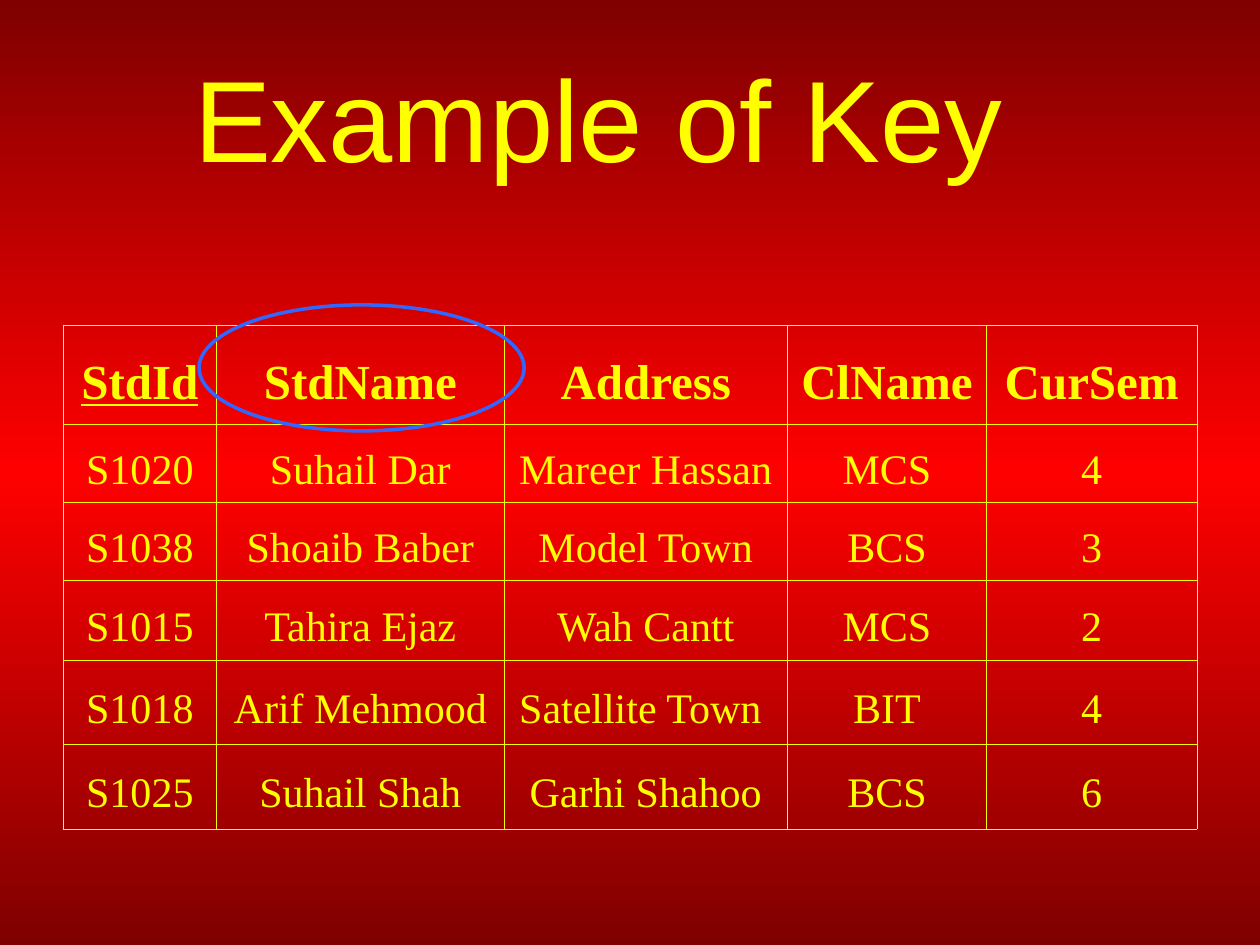
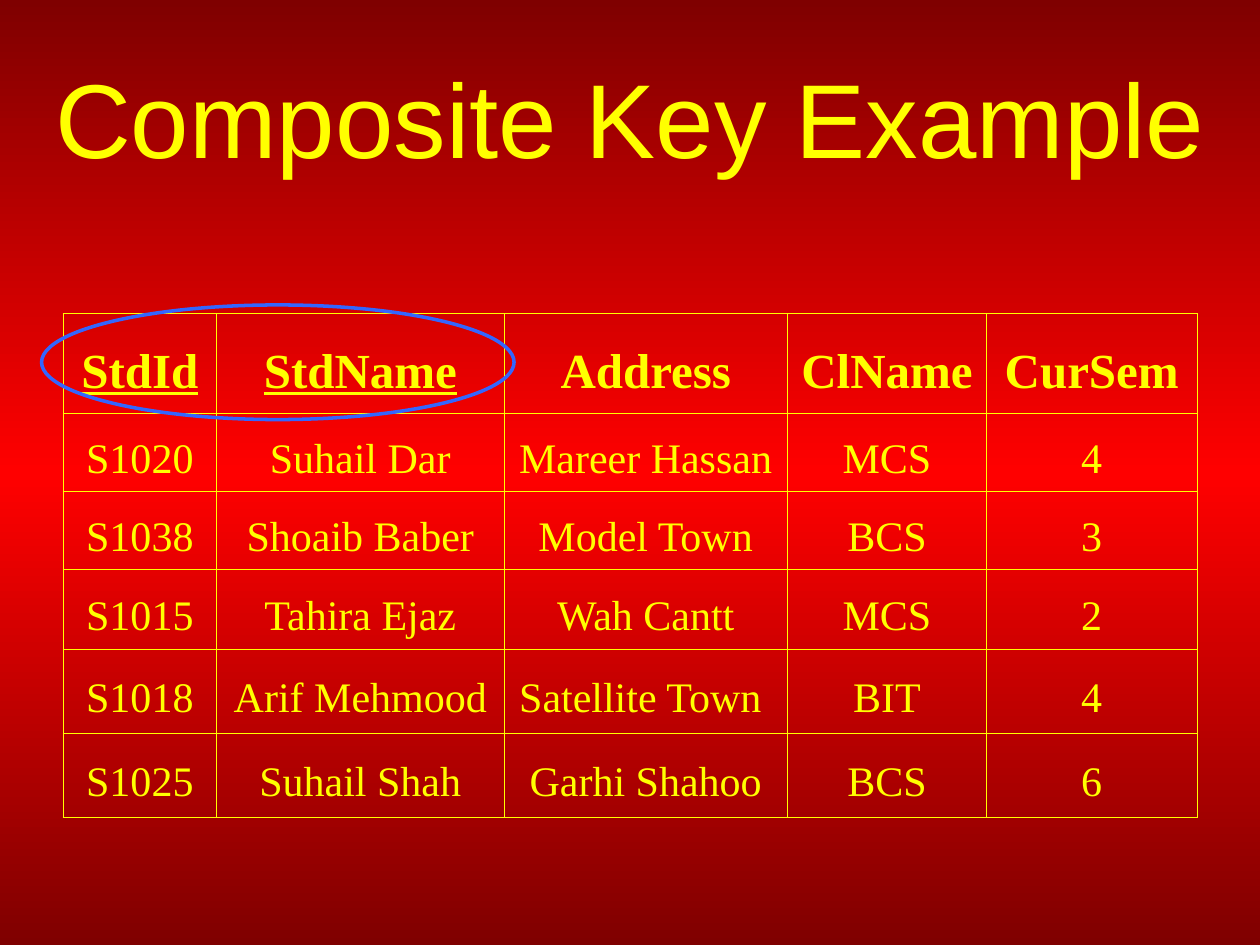
from copy import deepcopy

from lxml import etree
from pptx import Presentation
from pptx.dml.color import RGBColor
from pptx.enum.shapes import MSO_SHAPE
from pptx.enum.text import MSO_ANCHOR, PP_ALIGN
from pptx.oxml.ns import qn
from pptx.util import Pt

OVAL = MSO_SHAPE.OVAL
CENTER = PP_ALIGN.CENTER
MIDDLE = MSO_ANCHOR.MIDDLE

COLORS = {"text": "FFFF00", "edge": "7F0000", "glow": "FF0000", "marker": "3366FF"}
TITLE_FONT = "Arial"
TABLE_FONT = "Times New Roman"
COLUMN_WIDTHS = [87.84, 164.16, 162, 113.76, 120.24]
ROW_HEIGHTS = [56.88, 44.64, 44.64, 45.36, 48.24, 48.24]
BORDER_WIDTH = 0.45

STUDENTS = [
    ["StdId", "StdName", "Address", "ClName", "CurSem"],
    ["S1020", "Suhail Dar", "Mareer Hassan", "MCS", "4"],
    ["S1038", "Shoaib Baber", "Model Town", "BCS", "3"],
    ["S1015", "Tahira Ejaz", "Wah Cantt", "MCS", "2"],
    ["S1018", "Arif Mehmood", "Satellite Town ", "BIT", "4"],
    ["S1025", "Suhail Shah", "Garhi Shahoo", "BCS", "6"],
]


def color(name):
    return RGBColor.from_string(COLORS[name])


def paint_background(slide):
    fill = slide.background.fill
    fill.gradient()
    fill.gradient_angle = 270
    stop_list = slide.element.find(".//" + qn("a:gsLst"))
    stop_list.insert(1, deepcopy(stop_list[0]))
    for stop, name, position in zip(fill.gradient_stops, ("edge", "glow", "edge"), (0, 0.5, 1)):
        stop.color.rgb = color(name)
        stop.position = position


def write(frame, text, font_name, size, bold=False, underline=False):
    frame.text = text
    paragraph = frame.paragraphs[0]
    paragraph.alignment = CENTER
    font = paragraph.runs[0].font
    font.name = font_name
    font.size = Pt(size)
    font.bold = bold
    font.underline = underline
    font.color.rgb = color("text")
    return paragraph


def add_title(slide, text, left, size):
    frame = slide.shapes.add_textbox(Pt(left), Pt(21.6), Pt(684), Pt(90)).text_frame
    frame.word_wrap = True
    frame.vertical_anchor = MIDDLE
    write(frame, text, TITLE_FONT, size)


def add_borders(cell):
    properties = cell._tc.get_or_add_tcPr()
    for side in ("lnL", "lnR", "lnT", "lnB"):
        border = etree.SubElement(properties, qn(f"a:{side}"), w=str(Pt(BORDER_WIDTH)))
        solid = etree.SubElement(border, qn("a:solidFill"))
        etree.SubElement(solid, qn("a:srgbClr"), val=COLORS["text"])


def add_student_table(slide, top, key_columns):
    table = slide.shapes.add_table(
        len(ROW_HEIGHTS), len(COLUMN_WIDTHS), Pt(36), Pt(top),
        Pt(sum(COLUMN_WIDTHS)), Pt(sum(ROW_HEIGHTS)),
    ).table
    table.first_row = False
    table.horz_banding = False
    for column, width in zip(table.columns, COLUMN_WIDTHS):
        column.width = Pt(width)
    for row_index, (row, height) in enumerate(zip(table.rows, ROW_HEIGHTS)):
        row.height = Pt(height)
        is_header = row_index == 0
        for cell, value in zip(row.cells, STUDENTS[row_index]):
            add_borders(cell)
            cell.fill.background()
            cell.vertical_anchor = MIDDLE
            paragraph = write(
                cell.text_frame, value, TABLE_FONT, 28 if is_header else 24,
                bold=is_header, underline=is_header and value in key_columns,
            )
            paragraph.line_spacing = 1.3


def add_key_marker(slide, left, width, height):
    marker = slide.shapes.add_shape(OVAL, Pt(left), Pt(174.24), Pt(width), Pt(height))
    marker.shadow.inherit = False
    marker.fill.background()
    marker.line.color.rgb = color("marker")
    marker.line.width = Pt(2)


def add_key_slide(deck, title, table_top, key_columns, marker):
    slide = deck.slides.add_slide(deck.slide_layouts[6])
    paint_background(slide)
    add_title(slide, *title)
    add_student_table(slide, table_top, key_columns)
    add_key_marker(slide, *marker)


def main():
    deck = Presentation()
    deck.slide_width = Pt(720)
    deck.slide_height = Pt(540)
    add_key_slide(deck, ("Example of Key", 0, 66), 185.76, {"StdId"}, (113.76, 185.76, 72))
    add_key_slide(
        deck, ("Composite Key Example", 18, 60), 179.28,
        {"StdId", "StdName"}, (23.76, 270, 65.52),
    )
    deck.save("out.pptx")


if __name__ == "__main__":
    main()
